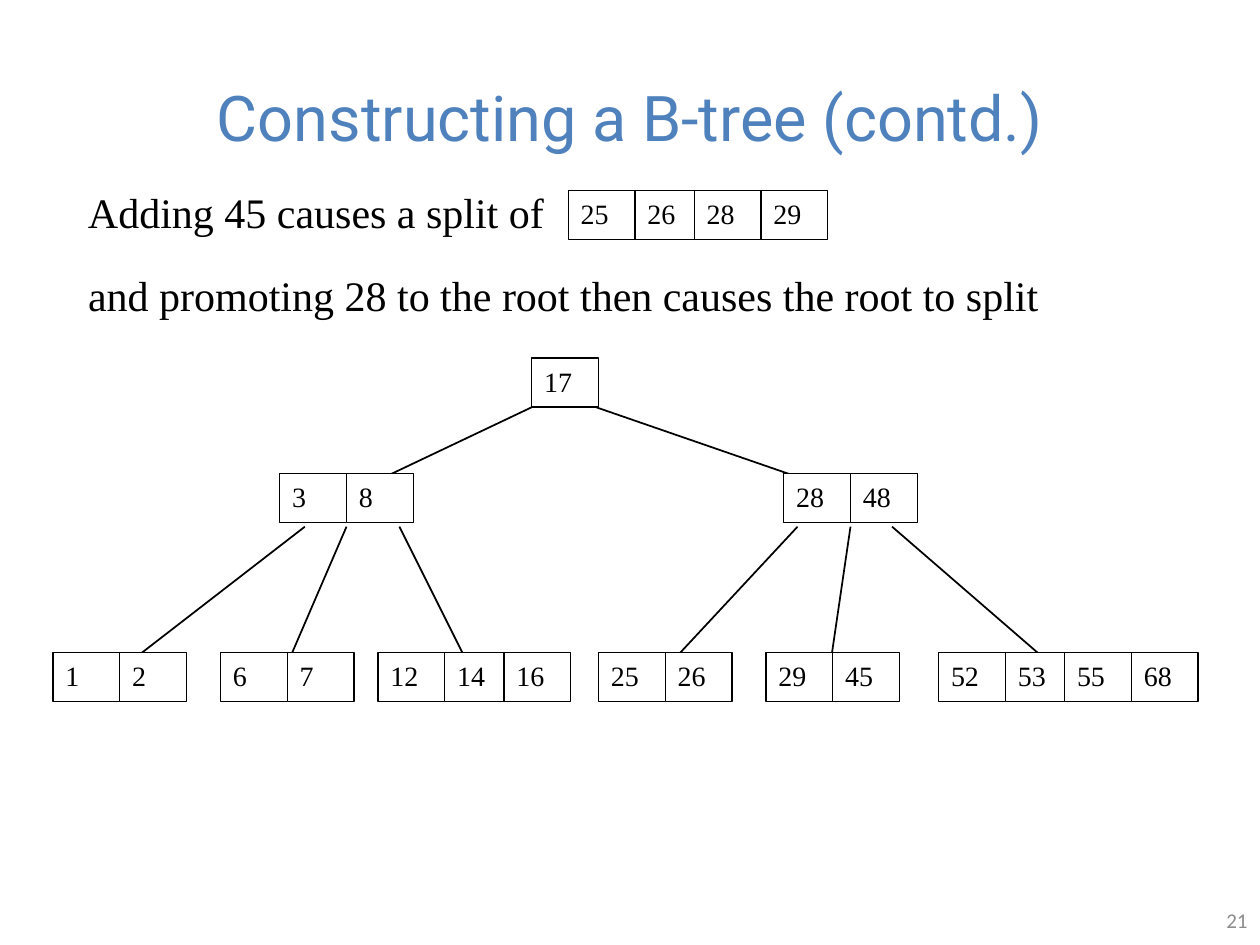
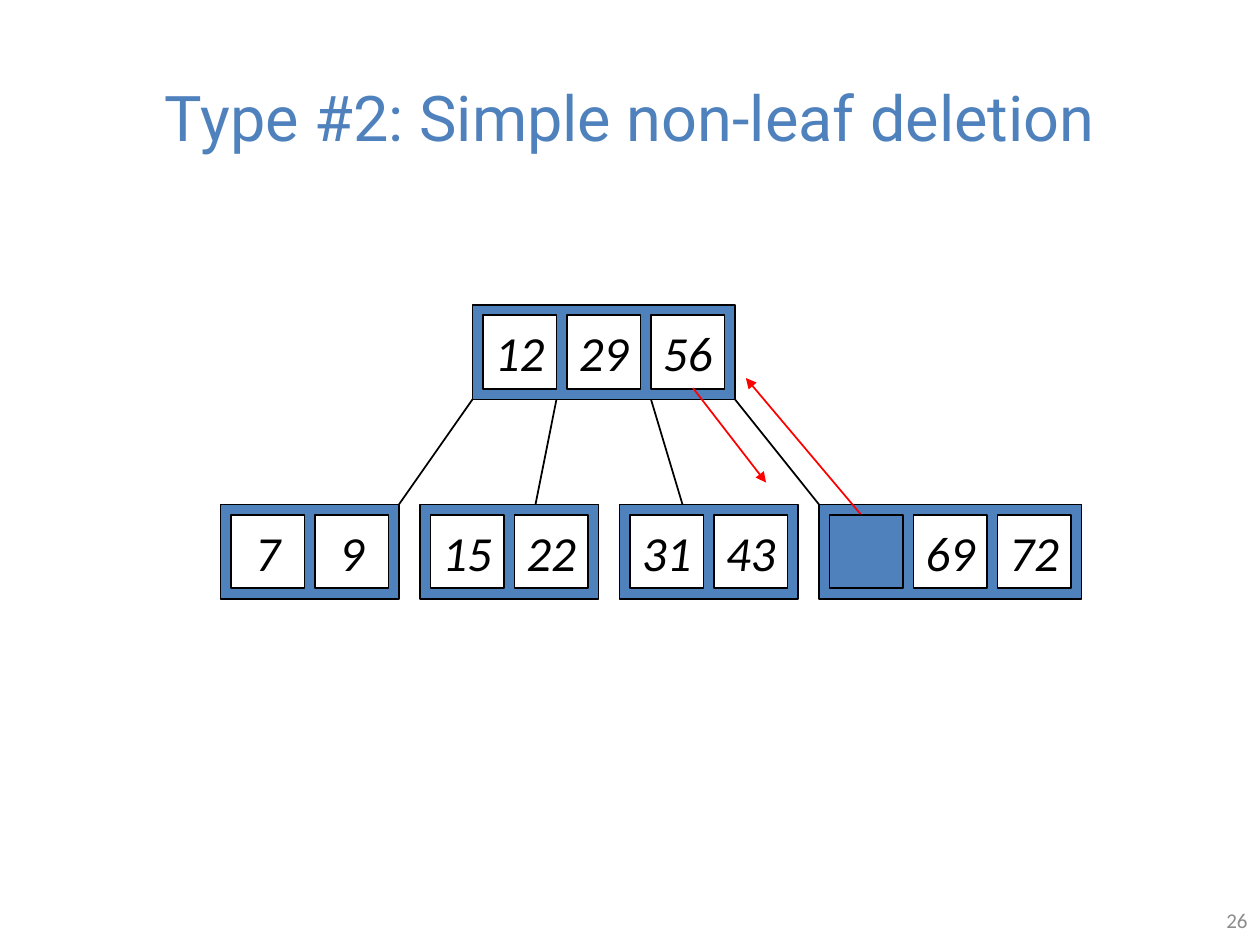
from itertools import accumulate

from lxml.etree import SubElement
from pptx import Presentation
from pptx.dml.color import RGBColor
from pptx.enum.shapes import MSO_CONNECTOR as Connector, MSO_SHAPE as Shape
from pptx.enum.text import MSO_ANCHOR as Anchor, PP_ALIGN as Align
from pptx.oxml.ns import qn
from pptx.util import Inches, Pt

BLACK, WHITE, BLUE, GRAY, RED = "000000", "FFFFFF", "4F81BD", "8C8C8C", "FF0000"

# Text formats
TITLE = {"name": "Roboto", "size": Pt(36)}
BODY = {"name": "Times New Roman", "size": Pt(24)}
KEY = {"name": "Times New Roman", "size": Pt(16)}
BIG_KEY = {"name": "Calibri", "size": Pt(28), "italic": True}
NUMBER = {"name": "Calibri", "size": Pt(12)}

# Plain nodes: keys come in pairs of cells
CELL_W, CELL_H, PAIR_W = 0.53, 0.39, 1.0

# Framed nodes are laid out in twelfths of an inch
UNIT = 1 / 12
SLOT, STEP, FRAME_H = 7 * UNIT, 8 * UNIT, 9 * UNIT


def rgb(color):
    return RGBColor.from_string(color)


def write(shape, text, font, color=BLACK, align=Align.LEFT, anchor=Anchor.TOP, wrap=True):
    frame = shape.text_frame
    frame.word_wrap, frame.vertical_anchor = wrap, anchor
    paragraph = frame.paragraphs[0]
    paragraph.alignment = align
    run = paragraph.add_run()
    run.text = text
    for attribute, value in font.items():
        setattr(run.font, attribute, value)
    run.font.color.rgb = rgb(color)


def add_text(slide, box, text, font, **style):
    write(slide.shapes.add_textbox(*map(Inches, box)), text, font, **style)


def add_box(slide, box, fill=WHITE, weight=1):
    shape = slide.shapes.add_shape(Shape.RECTANGLE, *map(Inches, box))
    shape.shadow.inherit = False
    shape.fill.solid()
    shape.fill.fore_color.rgb = rgb(fill)
    shape.line.color.rgb = rgb(BLACK)
    shape.line.width = Pt(weight)
    return shape


def add_line(slide, start, end, color=BLACK, arrow=False):
    line = slide.shapes.add_connector(Connector.STRAIGHT, *map(Inches, (*start, *end)))
    line.line.color.rgb = rgb(color)
    line.line.width = Pt(1)
    if arrow:
        SubElement(line.line._get_or_add_ln(), qn("a:tailEnd"), type="triangle")
    SubElement(line._element.spPr, qn("a:effectLst"))


def add_page(deck, title, number):
    """Blank slide with the shared title and slide number."""
    slide = deck.slides.add_slide(deck.slide_layouts[6])
    add_text(slide, (0.5, 0.3, 9, 1.25), title, TITLE, color=BLUE,
             align=Align.CENTER, anchor=Anchor.MIDDLE)
    add_text(slide, (7.67, 7.1, 2.33, 0.4), str(number), NUMBER, color=GRAY,
             align=Align.RIGHT, anchor=Anchor.MIDDLE)
    return slide


def add_plain_node(slide, left, top, keys):
    for i, key in enumerate(keys):
        x = left + i // 2 * PAIR_W + i % 2 * CELL_W
        write(add_box(slide, (x, top, CELL_W, CELL_H), weight=0.75), str(key), KEY)


def frame_width(keys):
    return len(keys) * STEP + UNIT


def add_framed_node(slide, left, top, keys):
    """Blue frame with one slot for each key; None is an emptied slot."""
    add_box(slide, (left, top, frame_width(keys), FRAME_H), BLUE)
    for i, key in enumerate(keys):
        slot = (left + UNIT + i * STEP, top + UNIT, SLOT, SLOT)
        if key is None:
            add_box(slide, slot, BLUE)
        else:
            write(add_box(slide, slot), str(key), BIG_KEY, align=Align.CENTER,
                  anchor=Anchor.MIDDLE, wrap=False)


def add_split_note(slide, left, top):
    """Explanation with the node that is split."""
    add_text(slide, (left, top, 4, 0.5), "Adding 45 causes a split of", BODY)
    add_plain_node(slide, left + 3.91, top + 0.08, (25, 26, 28, 29))
    add_text(slide, (left, top + 0.66, 9.08, 0.5),
             "and promoting 28 to the root then causes the root to split", BODY)


def add_split_tree(slide, left, top):
    """Three-level tree after the split; nodes cover the ends of the branches."""
    inner_top, leaf_top = top + 0.92, top + 2.34

    # Branches, from x to x
    root_branches = ((3.91, 2.33), (4.16, 6.33))
    leaf_branches = ((2, 0.5), (2.33, 1.83), (2.75, 3.33),
                     (5.91, 4.83), (6.33, 6.16), (6.66, 8))
    levels = ((root_branches, 0.34, 1.09), (leaf_branches, 1.34, 2.5))
    for branches, start_y, end_y in levels:
        for start_x, end_x in branches:
            add_line(slide, (left + start_x, top + start_y), (left + end_x, top + end_y))

    # Nodes
    inner = {1.8: (3, 8), 5.8: (28, 48)}
    leaves = {0: (1, 2), 1.33: (6, 7), 2.58: (12, 14, 16),
              4.33: (25, 26), 5.66: (29, 45), 7.03: (52, 53, 55, 68)}
    for y, nodes in ((top, {3.8: (17,)}), (inner_top, inner), (leaf_top, leaves)):
        for x, keys in nodes.items():
            add_plain_node(slide, left + x, y, keys)


def add_deletion_tree(slide, left, top):
    """Two-level tree in which 56 replaces the deleted key."""
    root_x, leaf_top = left + 2, top + 19 * UNIT
    root = (12, 29, 56)
    leaves = ((7, 9), (15, 22), (31, 43), (None, 69, 72))
    leaf_xs = list(accumulate((frame_width(keys) + 2 * UNIT for keys in leaves[:-1]),
                              initial=left))

    # Nodes
    add_framed_node(slide, root_x, top, root)
    for x, keys in zip(leaf_xs, leaves):
        add_framed_node(slide, x, leaf_top, keys)

    # Branches, in units from the left of the root and of the leaf
    for leaf_x, start, end in zip(leaf_xs, (0, 8, 17, 25), (17, 11, 6, 0)):
        add_line(slide, (root_x + start * UNIT, top + FRAME_H),
                 (leaf_x + end * UNIT, leaf_top))

    # Key moves
    moves = (((3.75, 0.66), (4.33, 1.41)), ((5.08, 1.66), (4.17, 0.58)))
    for (start_x, start_y), (end_x, end_y) in moves:
        add_line(slide, (left + start_x, top + start_y), (left + end_x, top + end_y),
                 RED, arrow=True)


def main():
    deck = Presentation()
    deck.slide_width, deck.slide_height = Inches(10), Inches(7.5)

    construction = add_page(deck, "Constructing a B-tree (contd.)", 21)
    add_split_note(construction, 0.6, 1.43)
    add_split_tree(construction, 0.42, 2.84)

    deletion = add_page(deck, "Type #2: Simple non-leaf deletion", 26)
    add_deletion_tree(deletion, 1.75, 2.42)

    deck.save("out.pptx")


if __name__ == "__main__":
    main()
